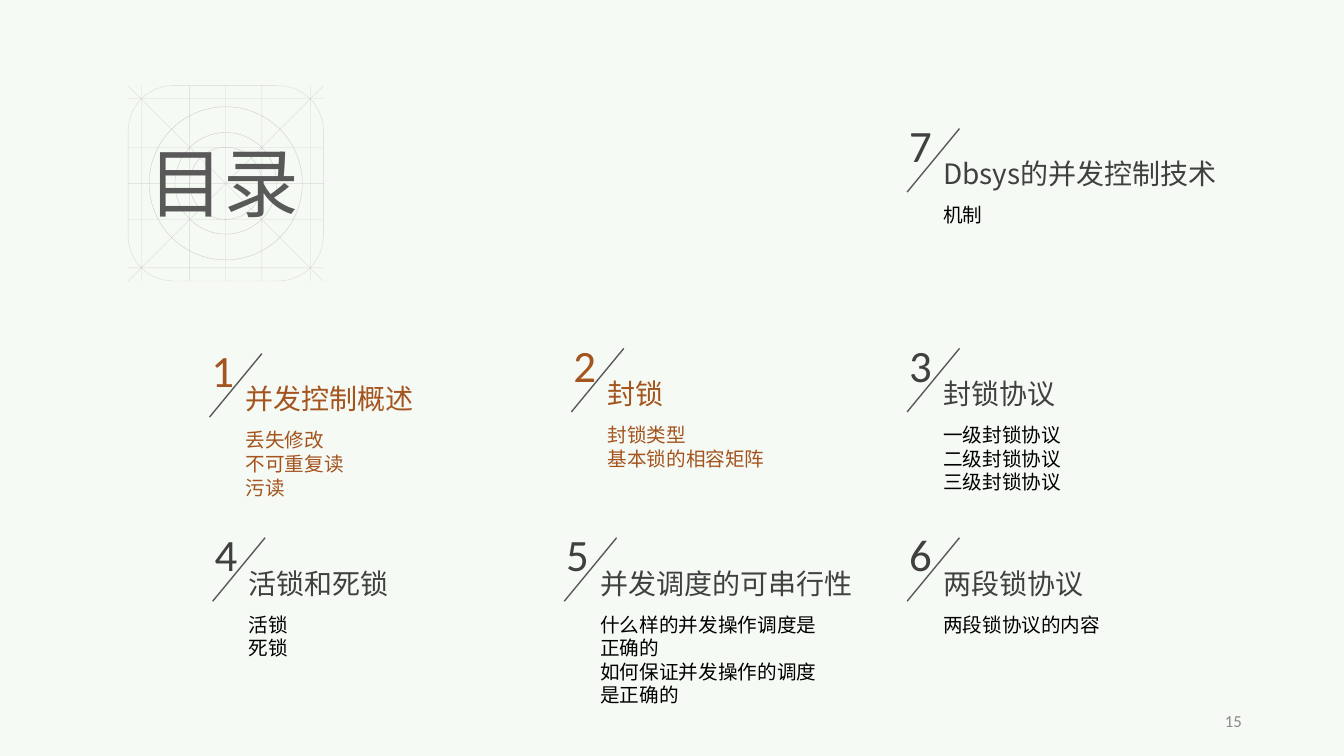
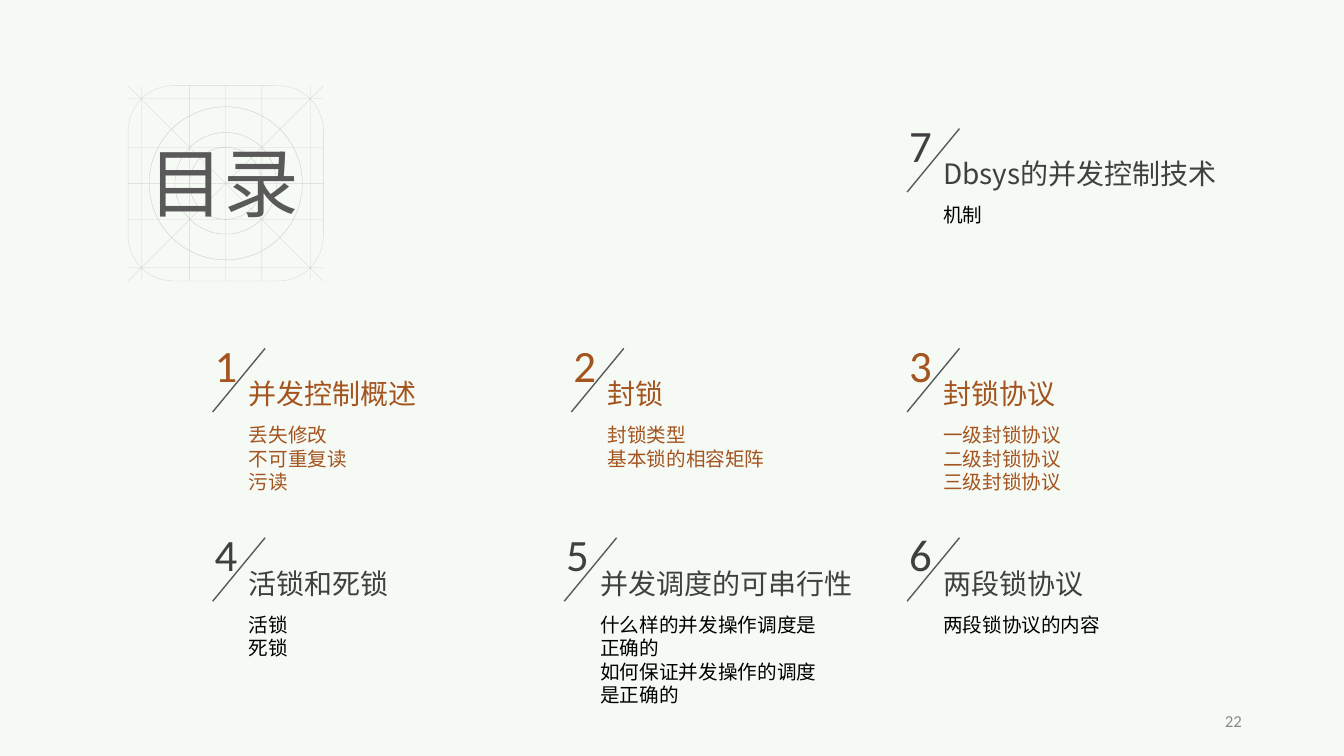
from lxml import etree
from pptx import Presentation
from pptx.dml.color import RGBColor
from pptx.enum.shapes import MSO_CONNECTOR, MSO_SHAPE
from pptx.enum.text import MSO_ANCHOR, MSO_AUTO_SIZE, PP_ALIGN
from pptx.oxml.ns import qn
from pptx.util import Cm, Pt

STRAIGHT = MSO_CONNECTOR.STRAIGHT
OVAL, ROUNDED = MSO_SHAPE.OVAL, MSO_SHAPE.ROUNDED_RECTANGLE
TOP, MIDDLE = MSO_ANCHOR.TOP, MSO_ANCHOR.MIDDLE
GROW = MSO_AUTO_SIZE.SHAPE_TO_FIT_TEXT
LEFT, RIGHT = PP_ALIGN.LEFT, PP_ALIGN.RIGHT

BACKGROUND = RGBColor(0xF6, 0xFA, 0xF4)
GRID_GRAY = RGBColor(0xBF, 0xBF, 0xBF)
TITLE_GRAY = RGBColor(0x59, 0x59, 0x59)
HEADING_GRAY = RGBColor(0x40, 0x40, 0x40)
PAGE_GRAY = RGBColor(0x89, 0x89, 0x89)
BROWN = RGBColor(0xA3, 0x54, 0x1F)
BLACK = RGBColor(0, 0, 0)
CHINESE_FONT, NUMBER_FONT = "Noto Sans CJK SC", "Calibri"

# Emblem geometry in cm: centre, half side, grid offsets, circle radii
CENTER_X, CENTER_Y, HALF = 5.69, 4.62, 2.46
GRID_OFFSETS = (-2.13, -0.91, 0, 0.91, 2.13)
RADII = (1.93, 1.28, 0.91)

# Chapters: left, top, heading width (cm), heading, topics
CHAPTERS = [
    (5.16, 8.38, 5.74, "并发控制概述", ["丢失修改", "不可重复读", "污读"]),
    (14.2, 8.38, 5.74, "封锁", ["封锁类型", "基本锁的相容矩阵"]),
    (22.66, 8.38, 5.74, "封锁协议", ["一级封锁协议", "二级封锁协议", "三级封锁协议"]),
    (5.16, 13.15, 5.74, "活锁和死锁", ["活锁", "死锁"]),
    (14.02, 13.15, 7.09, "并发调度的可串行性",
     ["什么样的并发操作调度是正确的", "如何保证并发操作的调度是正确的"]),
    (22.66, 13.15, 7.77, "两段锁协议", ["两段锁协议的内容"]),
    (22.66, 2.84, 9.27, "Dbsys的并发控制技术", ["机制"]),
]

# Slides: page number, chapters already reached, shift of the first chapter
PAGES = [("15", 2, (-0.08, 0.13)), ("22", 3, (0, 0))]


def write_text(shape, lines, size, color, font_name, align=LEFT, anchor=TOP, fit=GROW):
    frame = shape.text_frame
    frame.text = "\n".join(lines)
    frame.word_wrap = True
    frame.auto_size = fit
    frame.vertical_anchor = anchor
    for paragraph in frame.paragraphs:
        paragraph.alignment = align
        paragraph.font.size = Pt(size)
        paragraph.font.color.rgb = color
        paragraph.font.name = font_name
    for properties in frame._txBody.iter(qn("a:defRPr")):
        etree.SubElement(properties, qn("a:ea"), typeface=font_name)


def style_line(shape, color, width, opacity=100):
    shape.line.color.rgb = color
    shape.line.width = Pt(width)
    if opacity < 100:
        line_color = shape.element.spPr.find(qn("a:ln")).find(".//" + qn("a:srgbClr"))
        etree.SubElement(line_color, qn("a:alpha"), val=str(opacity * 1000))
    etree.SubElement(shape.element.spPr, qn("a:effectLst"))


presentation = Presentation()
presentation.slide_width, presentation.slide_height = Cm(33.87), Cm(19.05)
master_fill = presentation.slide_master.background.fill
master_fill.solid()
master_fill.fore_color.rgb = BACKGROUND
title_only = presentation.slide_layouts[5]

for page_number, reached, first_shift in PAGES:
    slide = presentation.slides.add_slide(title_only)
    shapes = slide.shapes

    # Emblem: circles, rounded frame, grid and diagonals
    emblem = shapes.add_group_shape().shapes
    outlines = [(OVAL, radius, 81) for radius in RADII] + [(ROUNDED, HALF, 56)]
    for kind, half, opacity in outlines:
        outline = emblem.add_shape(kind, Cm(CENTER_X - half), Cm(CENTER_Y - half),
                                   Cm(2 * half), Cm(2 * half))
        if kind == ROUNDED:
            outline.adjustments[0] = 0.23
        outline.fill.background()
        style_line(outline, GRID_GRAY, 0.25, opacity)
    grid = [(-HALF, -HALF, HALF, HALF), (-HALF, HALF, HALF, -HALF)]
    for offset in GRID_OFFSETS:
        grid += [(-HALF, offset, HALF, offset), (offset, -HALF, offset, HALF)]
    for x1, y1, x2, y2 in grid:
        grid_line = emblem.add_connector(STRAIGHT, Cm(CENTER_X + x1), Cm(CENTER_Y + y1),
                                         Cm(CENTER_X + x2), Cm(CENTER_Y + y2))
        style_line(grid_line, GRID_GRAY, 0.25, 56)

    # Title, in front of the emblem
    title = shapes.title
    title.left, title.top, title.width, title.height = Cm(3.48), Cm(3.3), Cm(4.52), Cm(2.54)
    write_text(title, ["目录"], 54, TITLE_GRAY, CHINESE_FONT)
    shapes.element.append(title.element)

    # Chapters: number, slash, heading, topics
    for number, (left, top, width, heading, topics) in enumerate(CHAPTERS, 1):
        if number == 1:
            left, top = left + first_shift[0], top + first_shift[1]
        heading_color, topic_color = (BROWN, BROWN) if number <= reached else (HEADING_GRAY, BLACK)
        number_box = shapes.add_textbox(Cm(left), Cm(top), Cm(1.14), Cm(1.63))
        write_text(number_box, [str(number)], 32, heading_color, NUMBER_FONT)
        slash = shapes.add_connector(STRAIGHT, Cm(left + 1.52), Cm(top + 0.4),
                                     Cm(left + 0.2), Cm(top + 2))
        style_line(slash, TITLE_GRAY, 1)
        heading_box = shapes.add_textbox(Cm(left + 0.86), Cm(top + 0.99), Cm(width), Cm(1.12))
        write_text(heading_box, [heading], 20, heading_color, CHINESE_FONT)
        topic_box = shapes.add_textbox(Cm(left + 0.86), Cm(top + 2.16), Cm(6.43),
                                       Cm(0.26 + 0.6 * len(topics)))
        write_text(topic_box, topics, 14, topic_color, CHINESE_FONT)

    # Page number
    page_box = shapes.add_textbox(Cm(23.93), Cm(17.65), Cm(7.62), Cm(1.02))
    write_text(page_box, [page_number], 12, PAGE_GRAY, NUMBER_FONT, RIGHT, MIDDLE,
               MSO_AUTO_SIZE.NONE)

presentation.save("out.pptx")
